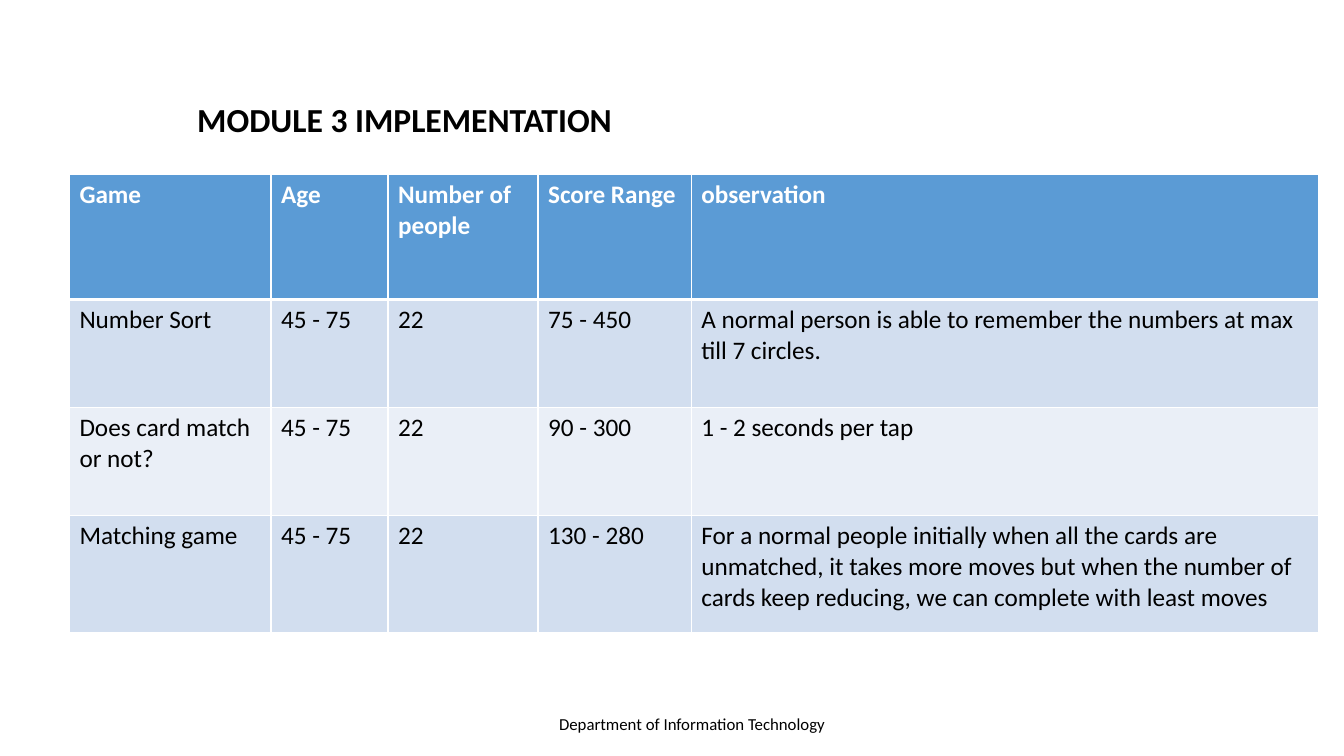
from pptx import Presentation
from pptx.dml.color import RGBColor as RGB
from pptx.enum.text import MSO_AUTO_SIZE as AutoSize
from pptx.oxml import parse_xml
from pptx.oxml.ns import nsdecls
from pptx.util import Cm, Pt

# Content
TITLE = "MODULE 3 IMPLEMENTATION"
FOOTER = "Department of Information Technology"
HEADINGS = ["Game", "Age", "Number of people", "Score Range", "observation"]
RESULTS = [
    ("Number Sort", "45 - 75", "22", "75 - 450",
     "A normal person is able to remember the numbers at max till 7 circles."),
    ("Does card match or not?", "45 - 75", "22", "90 - 300",
     "1 - 2 seconds per tap"),
    ("Matching game", "45 - 75", "22", "130 - 280",
     "For a normal people initially when all the cards are unmatched, "
     "it takes more moves but when the number of cards keep reducing, "
     "we can complete with least moves"),
]

# Look and measures (cm)
COLORS = {"text": "000000", "white": "FFFFFF", "header": "5B9BD5",
          "odd": "D2DEEF", "even": "EAEFF7"}
FONT = "Calibri"
COLUMN_WIDTHS = [5.08, 2.95, 3.78, 3.86, 15.8]
ROW_HEIGHTS = [3.15, 2.72, 2.72, 2.95]
TABLE_LEFT, TABLE_TOP = 1.75, 4.4


def style(paragraph, size, color, bold=False):
    font = paragraph.font
    font.name, font.size, font.bold = FONT, Pt(size), bold
    font.color.rgb = RGB.from_string(COLORS[color])


def add_label(slide, text, left, top, width, height, size, bold=False):
    label = slide.shapes.add_textbox(Cm(left), Cm(top), Cm(width), Cm(height))
    frame = label.text_frame
    frame.word_wrap = False
    frame.auto_size = AutoSize.SHAPE_TO_FIT_TEXT
    frame.text = text
    style(frame.paragraphs[0], size, "text", bold)


def add_border(cell, side, points):
    cell._tc.get_or_add_tcPr().append(parse_xml(
        f'<a:{side} {nsdecls("a")} w="{Pt(points)}"><a:solidFill>'
        f'<a:srgbClr val="{COLORS["white"]}"/></a:solidFill></a:{side}>'))


def add_results(slide):
    rows = [HEADINGS, *RESULTS]
    table = slide.shapes.add_table(
        len(rows), len(HEADINGS), Cm(TABLE_LEFT), Cm(TABLE_TOP),
        Cm(sum(COLUMN_WIDTHS)), Cm(sum(ROW_HEIGHTS))).table
    for column, width in zip(table.columns, COLUMN_WIDTHS):
        column.width = Cm(width)
    for r, (row, height) in enumerate(zip(rows, ROW_HEIGHTS)):
        table.rows[r].height = Cm(height)
        is_header = r == 0
        fill = "header" if is_header else "odd" if r % 2 else "even"
        for c, text in enumerate(row):
            cell = table.cell(r, c)
            cell.text = text
            style(cell.text_frame.paragraphs[0], 18,
                  "white" if is_header else "text", is_header)
            # The rule under the header is thicker than the others
            for side in ("lnL", "lnR", "lnT", "lnB"):
                thick = (r, side) in ((0, "lnB"), (1, "lnT"))
                add_border(cell, side, 3 if thick else 1)
            cell.fill.solid()
            cell.fill.fore_color.rgb = RGB.from_string(COLORS[fill])


def main():
    prs = Presentation()
    prs.slide_width, prs.slide_height = Cm(33.87), Cm(19.05)
    slide = prs.slides.add_slide(prs.slide_layouts[6])

    # Footer, title and table
    add_label(slide, FOOTER, 13.84, 17.86, 7.32, 0.77, 12)
    add_label(slide, TITLE, 4.72, 2.36, 10.97, 1.27, 24, True)
    add_results(slide)
    prs.save("out.pptx")


if __name__ == "__main__":
    main()
